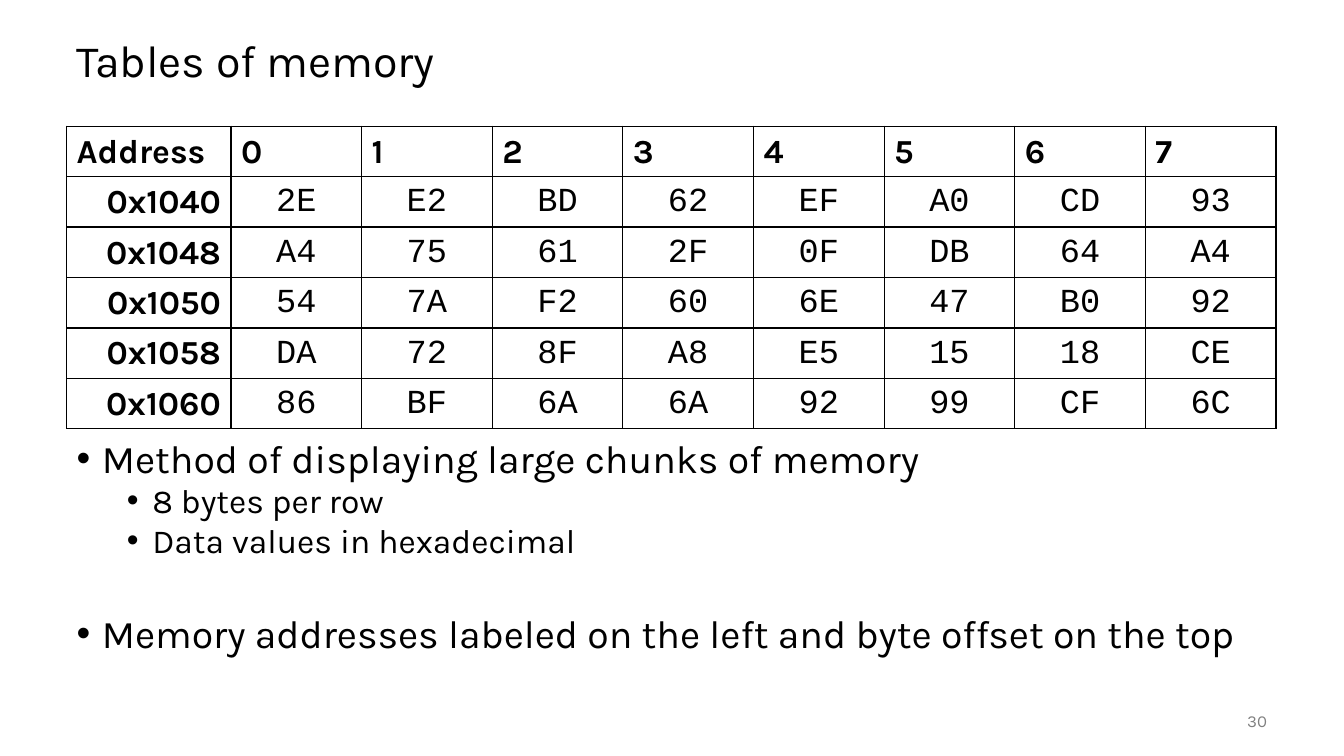
from lxml.etree import SubElement
from pptx import Presentation
from pptx.dml.color import RGBColor
from pptx.enum.text import MSO_ANCHOR, PP_ALIGN
from pptx.oxml.ns import qn
from pptx.util import Cm, Pt

# Content
TITLE = "Tables of memory"
PAGE_NUMBER = "30"
START_ADDRESS = 0x1040
MEMORY = [
    "2E E2 BD 62 EF A0 CD 93",
    "A4 75 61 2F 0F DB 64 A4",
    "54 7A F2 60 6E 47 B0 92",
    "DA 72 8F A8 E5 15 18 CE",
    "86 BF 6A 6A 92 99 CF 6C",
]
# Level, space before in points, wording
POINTS = [
    (0, 0, "Method of displaying large chunks of memory"),
    (1, 5, "8 bytes per row"),
    (1, 5, "Data values in hexadecimal"),
    (0, 42, "Memory addresses labeled on the left and byte offset on the top"),
]

THEME = {
    "font": "Karla", "mono": "Courier New", "bullet_font": "Arial",
    "ink": "000000", "muted": "808080",
    "title": 32, "levels": (28, 24), "cell": 24, "page": 12, "border": 1,
}

# Layout in centimetres
SLIDE_W, SLIDE_H = 33.87, 19.05
LEFT, CONTENT_W = 1.68, 30.48
TABLE_TOP, ROW_H, ADDRESS_W = 3.18, 1.24, 4.14
BYTES_PER_ROW = 8
BYTE_W = (CONTENT_W - ADDRESS_W) / BYTES_PER_ROW
HANGING, LEVEL_INDENT = 0.64, 1.27


def add_run(paragraph, wording, size, color=THEME["ink"], font=THEME["font"], bold=False):
    run = paragraph.add_run()
    run.text = wording
    run.font.name, run.font.size, run.font.bold = font, Pt(size), bold
    run.font.color.rgb = RGBColor.from_string(color)


def add_frame(slide, left, top, width, height, anchor=MSO_ANCHOR.MIDDLE):
    frame = slide.shapes.add_textbox(Cm(left), Cm(top), Cm(width), Cm(height)).text_frame
    frame.word_wrap = True
    frame.vertical_anchor = anchor
    return frame


def add_bullet(paragraph, level):
    properties = paragraph._p.get_or_add_pPr()
    properties.set("marL", str(Cm(HANGING + level * LEVEL_INDENT)))
    properties.set("indent", str(-Cm(HANGING)))
    SubElement(properties, qn("a:buFont")).set("typeface", THEME["bullet_font"])
    SubElement(properties, qn("a:buChar")).set("char", "•")


def add_borders(cell):
    properties = cell._tc.get_or_add_tcPr()
    for side in ("a:lnL", "a:lnR", "a:lnT", "a:lnB"):
        line = SubElement(properties, qn(side), w=str(Pt(THEME["border"])))
        fill = SubElement(line, qn("a:solidFill"))
        SubElement(fill, qn("a:srgbClr")).set("val", THEME["ink"])


def fill_cell(cell, wording, align, font=THEME["font"], bold=True):
    add_borders(cell)
    cell.fill.background()
    cell.vertical_anchor = MSO_ANCHOR.BOTTOM
    paragraph = cell.text_frame.paragraphs[0]
    paragraph.alignment = align
    add_run(paragraph, wording, THEME["cell"], font=font, bold=bold)


def add_memory_table(slide):
    row_count = len(MEMORY) + 1
    table = slide.shapes.add_table(
        row_count, BYTES_PER_ROW + 1,
        Cm(LEFT), Cm(TABLE_TOP), Cm(CONTENT_W), Cm(ROW_H * row_count)).table
    table.first_row = table.horz_banding = False
    for index, column in enumerate(table.columns):
        column.width = Cm(BYTE_W if index else ADDRESS_W)
    for row in table.rows:
        row.height = Cm(ROW_H)

    # Byte offsets on top
    for column, heading in enumerate(["Address", *map(str, range(BYTES_PER_ROW))]):
        fill_cell(table.cell(0, column), heading, PP_ALIGN.LEFT)

    # Addresses on the left, then the bytes
    for row, values in enumerate(MEMORY, 1):
        address = START_ADDRESS + (row - 1) * BYTES_PER_ROW
        fill_cell(table.cell(row, 0), f"0x{address:X}", PP_ALIGN.RIGHT)
        for column, value in enumerate(values.split(), 1):
            fill_cell(table.cell(row, column), value, PP_ALIGN.CENTER, THEME["mono"], False)


def main():
    deck = Presentation()
    deck.slide_width, deck.slide_height = Cm(SLIDE_W), Cm(SLIDE_H)
    slide = deck.slides.add_slide(deck.slide_layouts[6])

    # Title
    title = add_frame(slide, LEFT, 0.64, CONTENT_W, 1.9).paragraphs[0]
    title.line_spacing = 0.9
    add_run(title, TITLE, THEME["title"])

    # Bullet points
    body = add_frame(slide, LEFT, 11.05, CONTENT_W, 6.1, MSO_ANCHOR.TOP)
    for index, (level, space, wording) in enumerate(POINTS):
        point = body.add_paragraph() if index else body.paragraphs[0]
        point.level = level
        add_bullet(point, level)
        point.line_spacing = 0.8
        point.space_before = Pt(space)
        add_run(point, wording, THEME["levels"][level])

    # Page number
    page = add_frame(slide, 29.64, 17.65, 2.54, 1.02).paragraphs[0]
    page.alignment = PP_ALIGN.RIGHT
    add_run(page, PAGE_NUMBER, THEME["page"], THEME["muted"])

    add_memory_table(slide)
    deck.save("out.pptx")


if __name__ == "__main__":
    main()
